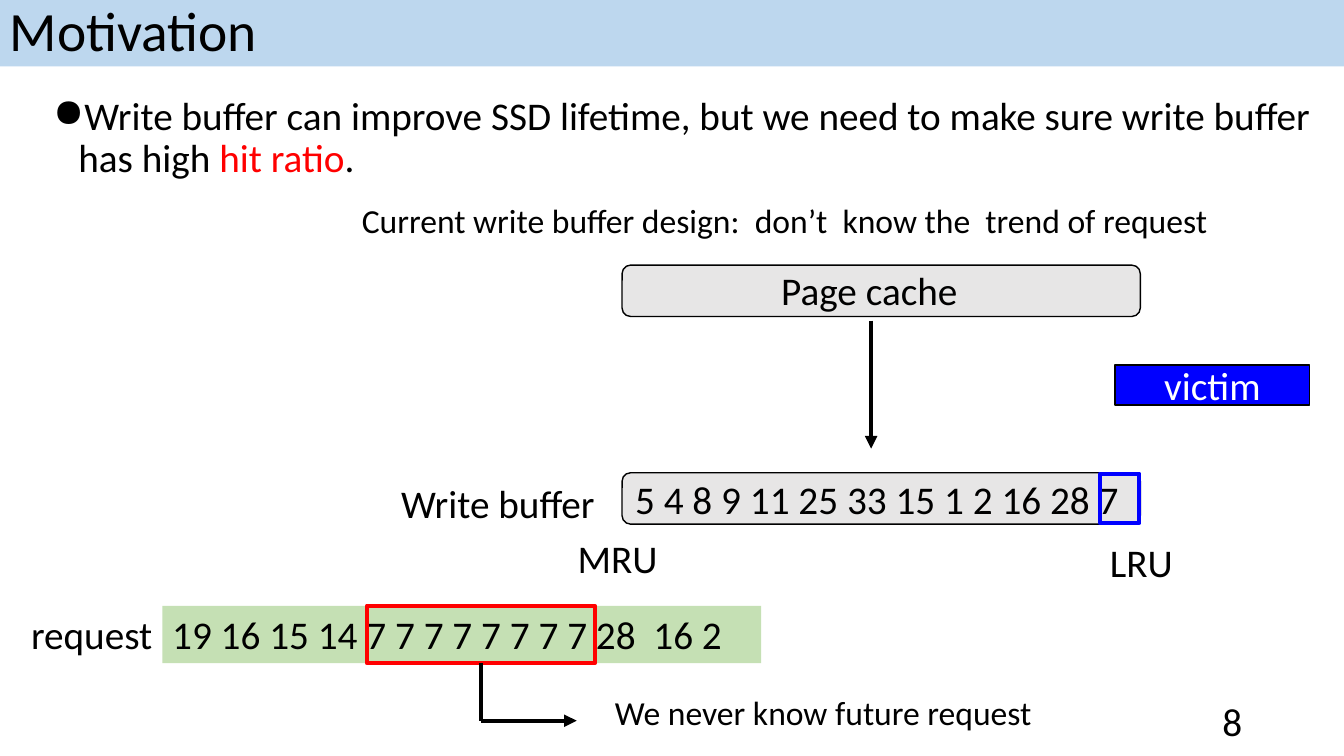
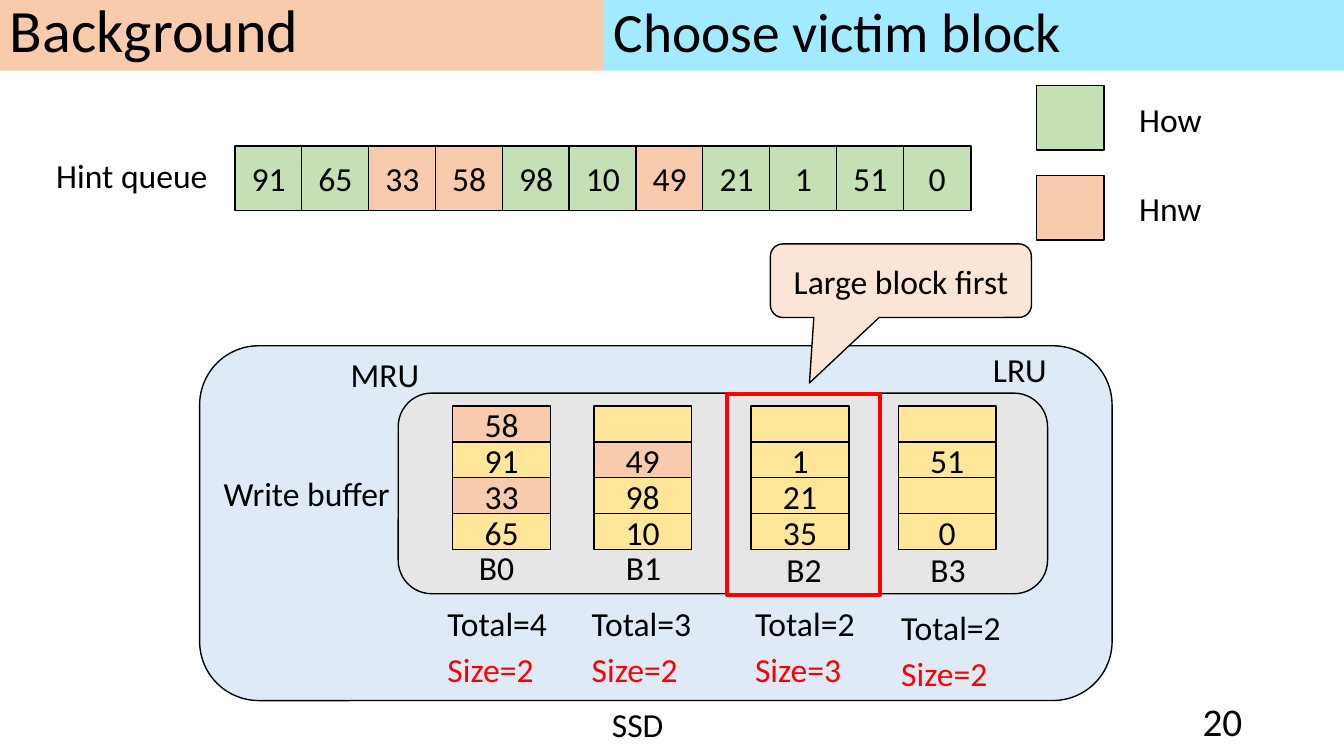
from lxml import etree
from pptx import Presentation
from pptx.dml.color import RGBColor
from pptx.enum.shapes import MSO_CONNECTOR, MSO_SHAPE
from pptx.enum.text import MSO_ANCHOR, PP_ALIGN
from pptx.oxml.ns import qn
from pptx.util import Inches, Pt

FONT = "Calibri"
BLACK, WHITE, RED, BLUE = "000000", "FFFFFF", "FF0000", "0000FF"
GREEN, PEACH, GOLD, GREY = "C5E0B4", "F8CBAD", "FFE699", "E7E6E6"
SKY, CYAN, PALE, CREAM = "BDD7EE", "A1EAFF", "DEEBF7", "FBE5D6"
RECT, ROUND = MSO_SHAPE.RECTANGLE, MSO_SHAPE.ROUNDED_RECTANGLE

# Motivation: content
POINT = [
    ("Write buffer can improve SSD lifetime, but we need to make sure "
     "write buffer has high ", BLACK),
    ("hit ratio", RED),
    (".", BLACK),
]
BUFFER = "5 4 8 9 11 25 33 15 1 2 16 28 7 "
REQUEST = "19 16 15 14 7 7 7 7 7 7 7 7 28  16 2"
# text, left, top, width, size
NOTES = [
    ("Current write buffer design:  don’t  know the  trend of request",
     3.49, 1.93, 9.22, 24),
    ("Page cache", 7.65, 2.59, 2.16, 28),
    ("Write buffer", 3.88, 4.71, 2.16, 28),
    ("MRU", 5.63, 5.25, 1.08, 28),
    ("LRU", 10.91, 5.29, 1, 28),
    ("request", 0.21, 6.01, 1.61, 28),
    ("We never know future request", 6, 6.82, 5.22, 24),
]

# Choose victim block: content
QUEUE = [91, 65, 33, 58, 98, 10, 49, 21, 1, 51, 0]
COLD = {33, 58, 49}
LEGEND = [("How", GREEN), ("Hnw", PEACH)]
# name, left, values from the top, total, size, label left, label top, total left
BLOCKS = [
    ("B0", 4.49, [58, 91, 33, 65], 4, 2, 4.65, 5.38, 4.34),
    ("B1", 5.89, [None, 49, 98, 10], 3, 2, 6.11, 5.38, 5.77),
    ("B2", 7.45, [None, 1, 21, 35], 2, 3, 7.7, 5.4, 7.39),
    ("B3", 8.91, [None, 51, None, 0], 2, 2, 9.13, 5.4, 8.84),
]
LABELS = [
    ("Write buffer", 2.12, 4.64, 1.94, 24),
    ("SSD", 5.97, 6.93, 0.99, 24),
    ("MRU", 3.38, 3.46, 0.96, 24),
    ("LRU", 9.75, 3.41, 0.96, 24),
    ("Hint queue", 0.46, 1.49, 1.74, 24),
]


def rgb(code):
    return RGBColor.from_string(code)


def style(run, size, color):
    run.font.name = FONT
    run.font.size = Pt(size)
    run.font.color.rgb = rgb(color)


def write(shape, text, size, color=BLACK, align=PP_ALIGN.LEFT,
          anchor=MSO_ANCHOR.TOP, gap=None):
    frame = shape.text_frame
    frame.word_wrap = True
    frame.vertical_anchor = anchor
    frame.text = str(text)
    para = frame.paragraphs[0]
    para.alignment = align
    para.line_spacing = gap
    style(para.runs[0], size, color)


def label(slide, text, x, y, w, size, color=BLACK):
    h = 0.57 if size == 28 else 0.5
    box = slide.shapes.add_textbox(*map(Inches, (x, y, w, h)))
    write(box, text, size, color)


def block(slide, x, y, w, h, fill=None, line=BLACK, width=1, kind=RECT,
          text=None, size=24, color=BLACK):
    shape = slide.shapes.add_shape(kind, *map(Inches, (x, y, w, h)))
    shape.shadow.inherit = False
    if fill:
        shape.fill.solid()
        shape.fill.fore_color.rgb = rgb(fill)
    else:
        shape.fill.background()
    if line:
        shape.line.color.rgb = rgb(line)
        shape.line.width = Pt(width)
    else:
        shape.line.fill.background()
    if text is not None:
        write(shape, text, size, color, PP_ALIGN.CENTER, MSO_ANCHOR.MIDDLE)
    return shape


def band(slide, text, x, y, w, h, fill, size=39.6, gap=0.9):
    bar = block(slide, x, y, w, h, fill, None)
    write(bar, text, size, anchor=MSO_ANCHOR.MIDDLE, gap=gap)


def number(slide, value):
    box = slide.shapes.add_textbox(*map(Inches, (9.42, 6.95, 3, 0.4)))
    write(box, value, 28, align=PP_ALIGN.RIGHT, anchor=MSO_ANCHOR.MIDDLE)


def link(slide, x1, y1, x2, y2, arrow=True):
    line = slide.shapes.add_connector(
        MSO_CONNECTOR.STRAIGHT, *map(Inches, (x1, y1, x2, y2)))
    line.line.color.rgb = rgb(BLACK)
    line.line.width = Pt(3)
    if arrow:
        tail = etree.SubElement(line.line._get_or_add_ln(), qn("a:tailEnd"))
        tail.set("type", "triangle")
    etree.SubElement(line._element.spPr, qn("a:effectLst"))
    return line


def bullet(slide, parts):
    box = slide.shapes.add_textbox(*map(Inches, (0.43, 0.91, 12.9, 1.12)))
    box.text_frame.word_wrap = True
    para = box.text_frame.paragraphs[0]
    para.line_spacing = 0.9
    para.space_before = Pt(10)
    for text, color in parts:
        run = para.add_run()
        run.text = text
        style(run, 28, color)
    props = para._p.get_or_add_pPr()
    props.set("marL", str(Inches(0.25)))
    props.set("indent", str(-Inches(0.25)))
    etree.SubElement(props, qn("a:buChar")).set("char", "●")


def motive(slide):
    band(slide, "Motivation", 0, 0, 13.33, 0.66, SKY)
    bullet(slide, POINT)
    number(slide, 8)

    # Cache, buffer and victim
    block(slide, 6.17, 2.63, 5.14, 0.51, GREY, kind=ROUND)
    link(slide, 8.64, 3.18, 8.64, 4.45)
    block(slide, 6.17, 4.69, 5.14, 0.51, GREY, kind=ROUND,
          text=BUFFER, size=28)
    block(slide, 10.91, 4.7, 0.39, 0.49, line=BLUE, width=3)
    block(slide, 11.06, 3.62, 1.93, 0.4, BLUE,
          text="victim", size=28, color=WHITE)

    # Request stream
    stream = block(slide, 1.61, 6.01, 5.94, 0.57, GREEN, None)
    write(stream, REQUEST, 28)
    for note in NOTES:
        label(slide, *note)
    repeat = block(slide, 3.64, 6.01, 2.26, 0.57, line=RED, width=3)
    stem = link(slide, 4.77, 6.58, 4.77, 7.15, arrow=False)
    stem.begin_connect(repeat, 2)
    link(slide, 4.77, 7.15, 5.72, 7.15)


def choose(slide):
    band(slide, "Choose victim block", 5.99, -0.01, 7.34, 0.71, CYAN)
    band(slide, "Background", 0, -0.01, 5.99, 0.71, PEACH, 42.9, 0.8)
    number(slide, 20)

    # Device and buffer
    block(slide, 1.98, 3.43, 9.05, 3.52, PALE, kind=ROUND)
    block(slide, 3.95, 3.9, 6.44, 1.99, GREY, kind=ROUND)
    for item in LABELS:
        label(slide, *item)

    # Blocks with their totals
    for name, x, cells, total, size, left, top, under in BLOCKS:
        for row, value in enumerate(cells):
            fill = PEACH if value in COLD else GOLD
            block(slide, x, 4.03 + row * 0.355, 0.97, 0.36, fill, text=value)
        label(slide, name, left, top, 0.71, 24)
        low = 5.97 if name == "B3" else 5.93
        label(slide, f"Total={total}", under, low, 1.34, 24)
        label(slide, f"Size={size}", under, low + 0.46, 1.34, 24, RED)
    block(slide, 7.21, 3.91, 1.52, 1.99, line=RED, width=3)
    call = block(slide, 7.64, 2.42, 2.59, 0.73, CREAM,
                 kind=MSO_SHAPE.ROUNDED_RECTANGULAR_CALLOUT,
                 text="Large block first")
    for i, value in enumerate((-0.35, 1.39, 0.17)):
        call.adjustments[i] = value

    # Hint queue and legend
    for i, value in enumerate(QUEUE):
        fill = PEACH if value in COLD else GREEN
        block(slide, 2.33 + i * 0.663, 1.45, 0.67, 0.64, fill, text=value)
    for i, (text, fill) in enumerate(LEGEND):
        y = 0.85 + i * 0.89
        block(slide, 10.28, y, 0.67, 0.64, fill)
        label(slide, text, 11.2, y + 0.08, 0.96, 24)


def main():
    deck = Presentation()
    deck.slide_width, deck.slide_height = Inches(13.33), Inches(7.5)
    for draw in (motive, choose):
        draw(deck.slides.add_slide(deck.slide_layouts[6]))
    deck.save("out.pptx")


if __name__ == "__main__":
    main()
